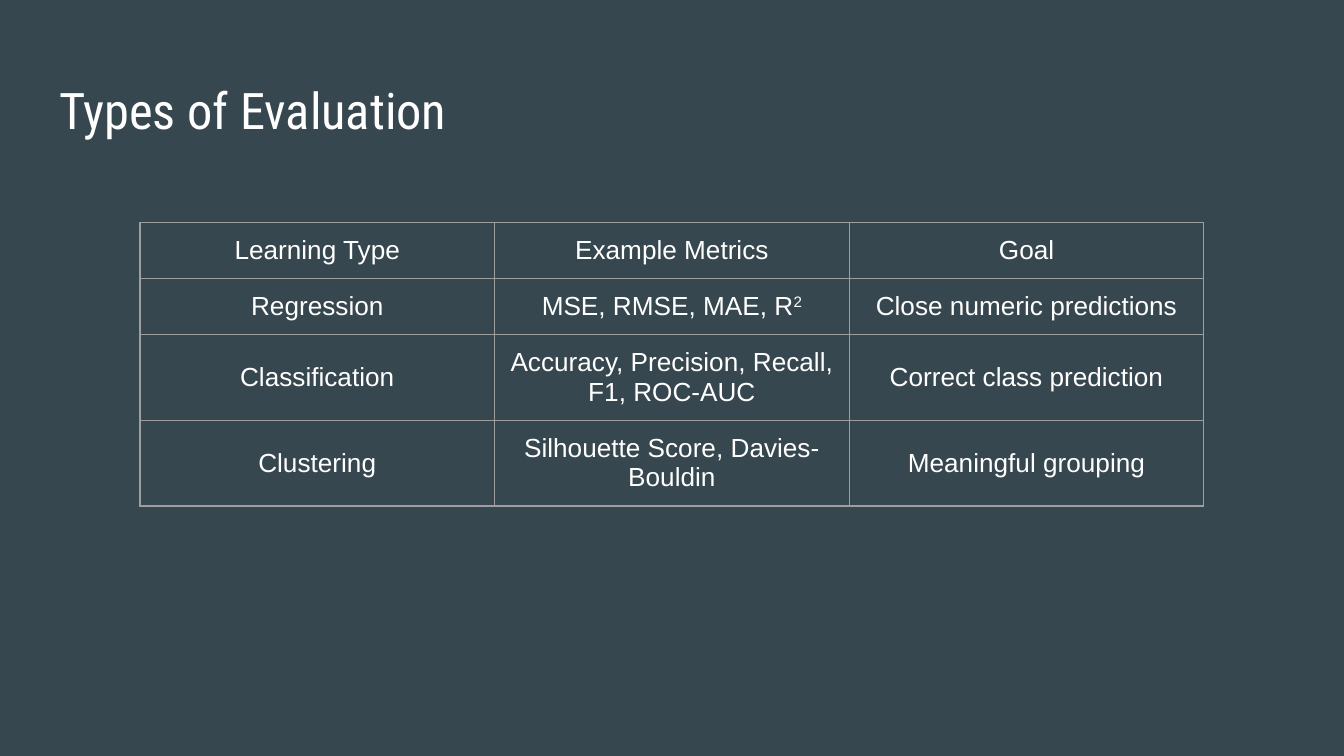
"""Build a slide with a table of evaluation metrics by learning type."""
from lxml.etree import SubElement
from pptx import Presentation
from pptx.dml.color import RGBColor
from pptx.enum.text import MSO_ANCHOR, PP_ALIGN
from pptx.oxml.ns import qn
from pptx.util import Pt

BACKGROUND, TEXT, BORDER = "37474F", "FFFFFF", "9E9E9E"
INSET = Pt(7.2)


def paint(color_format, hex_color):
    color_format.rgb = RGBColor.from_string(hex_color)


def add_run(paragraph, text, font_name, size):
    run = paragraph.add_run()
    run.text = text
    run.font.name = font_name
    run.font.size = Pt(size)
    run.font.bold = False
    paint(run.font.color, TEXT)
    return run


presentation = Presentation()
presentation.slide_width, presentation.slide_height = Pt(720), Pt(405)
slide = presentation.slides.add_slide(presentation.slide_layouts[5])
slide.background.fill.solid()
paint(slide.background.fill.fore_color, BACKGROUND)

heading = slide.shapes.title
heading.left, heading.top, heading.width, heading.height = Pt(24.5), Pt(35.3), Pt(671), Pt(45.4)
frame = heading.text_frame
frame.margin_left = frame.margin_right = frame.margin_top = frame.margin_bottom = INSET
frame.vertical_anchor = MSO_ANCHOR.TOP
frame.paragraphs[0].alignment = PP_ALIGN.LEFT
add_run(frame.paragraphs[0], "Types of Evaluation", "Roboto Condensed", 27)

evaluations = [
    [["Learning Type"], ["Example Metrics"], ["Goal"]],
    [["Regression"], ["MSE, RMSE, MAE, R", "2"], ["Close numeric predictions"]],
    [["Classification"], ["Accuracy, Precision, Recall, F1, ROC-AUC"], ["Correct class prediction"]],
    [["Clustering"], ["Silhouette Score, Davies-Bouldin"], ["Meaningful grouping"]],
]
metrics = slide.shapes.add_table(4, 3, Pt(75), Pt(119), Pt(570), Pt(120)).table
metrics.first_row = metrics.horz_banding = False

for row, entries in enumerate(evaluations):
    for column, (text, *superscripts) in enumerate(entries):
        cell = metrics.cell(row, column)
        cell.margin_left = cell.margin_right = cell.margin_top = cell.margin_bottom = INSET
        cell.vertical_anchor = MSO_ANCHOR.MIDDLE
        paragraph = cell.text_frame.paragraphs[0]
        paragraph.alignment = PP_ALIGN.CENTER
        add_run(paragraph, text, "Arial", 14)
        for superscript in superscripts:
            raised = add_run(paragraph, superscript, "Arial", 14)
            raised.font._element.set("baseline", "30000")
        properties = cell._tc.get_or_add_tcPr()
        for side in ("a:lnL", "a:lnR", "a:lnT", "a:lnB"):
            border = SubElement(properties, qn(side), w=str(Pt(0.75)))
            SubElement(SubElement(border, qn("a:solidFill")), qn("a:srgbClr"), val=BORDER)
        cell.fill.background()

presentation.save("out.pptx")
